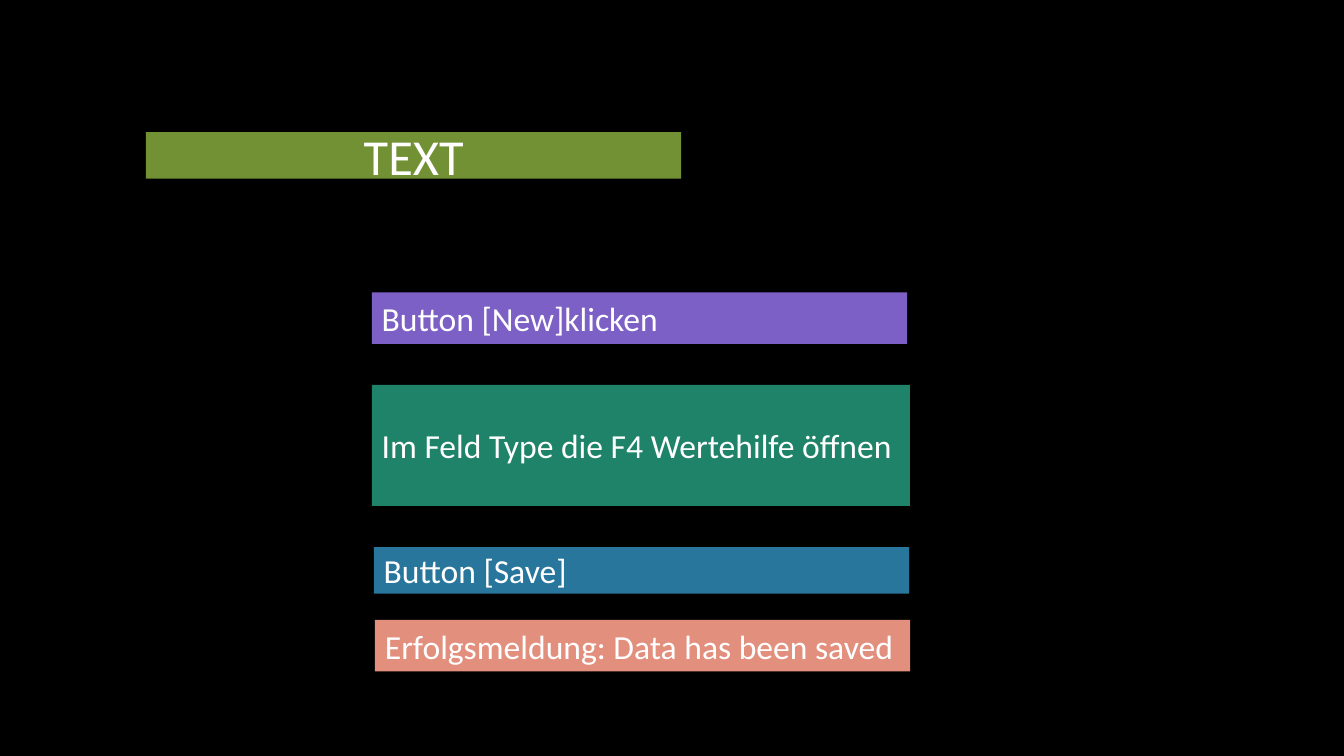
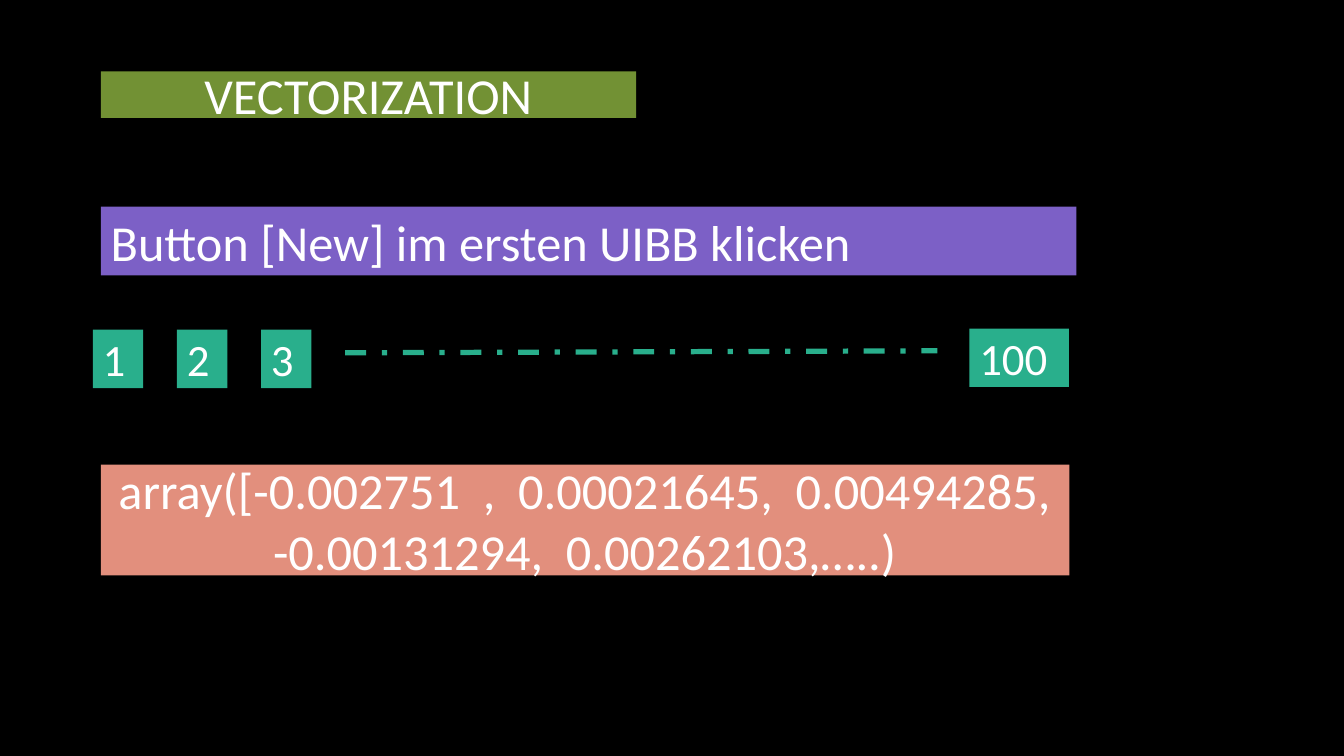
from pptx import Presentation
from pptx.dml.color import RGBColor
from pptx.enum.dml import MSO_LINE
from pptx.enum.shapes import MSO_CONNECTOR, MSO_SHAPE
from pptx.enum.text import MSO_ANCHOR, PP_ALIGN
from pptx.oxml.ns import qn
from pptx.util import Cm, Pt
from lxml.etree import SubElement

BLACK = RGBColor(0x00, 0x00, 0x00)
WHITE = RGBColor(0xFF, 0xFF, 0xFF)
OLIVE = RGBColor(0x72, 0x91, 0x34)
PURPLE = RGBColor(0x7C, 0x60, 0xC6)
GREEN = RGBColor(0x1F, 0x83, 0x69)
BLUE = RGBColor(0x29, 0x76, 0x9D)
SALMON = RGBColor(0xE2, 0x8F, 0x7D)
MINT = RGBColor(0x29, 0xAF, 0x8C)
FONT = "Calibri"
BAND_WIDTH = 13.49
TITLE_HEIGHT = 1.17


def add_slide(deck):
    slide = deck.slides.add_slide(deck.slide_layouts[6])
    slide.background.fill.solid()
    slide.background.fill.fore_color.rgb = BLACK
    return slide


def add_band(slide, box, text, color, size, align=PP_ALIGN.LEFT):
    band = slide.shapes.add_shape(MSO_SHAPE.RECTANGLE, *(Cm(n) for n in box))
    band.shadow.inherit = False
    band.fill.solid()
    band.fill.fore_color.rgb = color
    band.line.fill.background()
    frame = band.text_frame
    frame.word_wrap = True
    frame.vertical_anchor = MSO_ANCHOR.MIDDLE
    paragraph = frame.paragraphs[0]
    paragraph.text = text
    paragraph.alignment = align
    paragraph.font.name = FONT
    paragraph.font.size = Pt(size)
    paragraph.font.color.rgb = WHITE


def add_title(slide, left, top, text):
    add_band(slide, (left, top, BAND_WIDTH, TITLE_HEIGHT), text, OLIVE, 36, PP_ALIGN.CENTER)


def add_steps(slide, left, top):
    steps = [
        (0, 0, BAND_WIDTH, 1.3, "Button [New]klicken", PURPLE),
        (0, 2.33, 13.56, 3.05, "Im Feld Type die F4 Wertehilfe öffnen", GREEN),
        (0.05, 6.42, BAND_WIDTH, 1.17, "Button [Save]", BLUE),
        (0.08, 8.25, BAND_WIDTH, 1.3, "Erfolgsmeldung: Data has been saved", SALMON),
    ]
    for dx, dy, width, height, text, color in steps:
        add_band(slide, (left + dx, top + dy, width, height), text, color, 24)


def add_dimensions(slide, left, top, width):
    cell, pitch, height, last_cell = 1.27, 2.12, 1.47, 2.51
    for index in range(3):
        add_band(slide, (left + index * pitch, top, cell, height), str(index + 1), MINT, 32)
    last_left = left + width - last_cell
    add_band(slide, (last_left, top - 0.03, last_cell, height), "100", MINT, 32)
    ellipsis = slide.shapes.add_connector(
        MSO_CONNECTOR.STRAIGHT,
        Cm(left + 3 * pitch), Cm(top + 0.58),
        Cm(last_left - 0.81), Cm(top + 0.53),
    )
    ellipsis.line.color.rgb = MINT
    ellipsis.line.width = Pt(3.75)
    ellipsis.line.dash_style = MSO_LINE.DASH_DOT
    SubElement(ellipsis._element.spPr, qn("a:effectLst"))


def add_vectorization(slide, left, top):
    add_band(slide, (left, top, 24.59, 1.73), "Button [New] im ersten UIBB klicken", PURPLE, 36)
    add_dimensions(slide, left - 0.2, top + 3.1, 24.6)
    vector = "array([-0.002751  ,  0.00021645,  0.00494285, -0.00131294,  0.00262103,…..)"
    add_band(slide, (left, top + 6.5, 24.41, 2.79), vector, SALMON, 36, PP_ALIGN.CENTER)


deck = Presentation()
deck.slide_width, deck.slide_height = Cm(33.87), Cm(19.05)

text_slide = add_slide(deck)
add_title(text_slide, 3.68, 3.33, "TEXT")
add_steps(text_slide, 9.37, 7.37)

vector_slide = add_slide(deck)
add_title(vector_slide, 2.54, 1.8, "VECTORIZATION")
add_vectorization(vector_slide, 2.54, 5.21)

deck.save("out.pptx")
